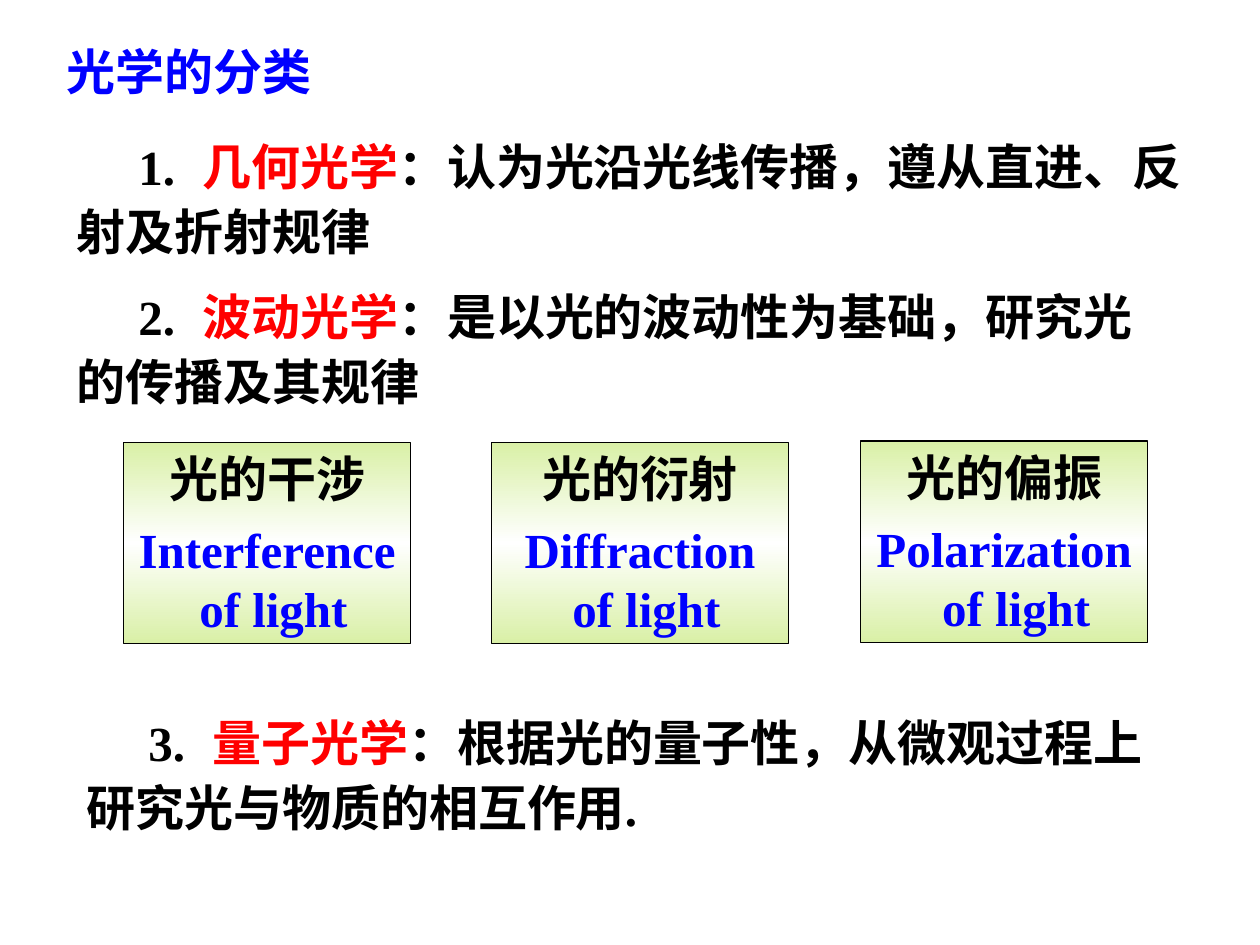
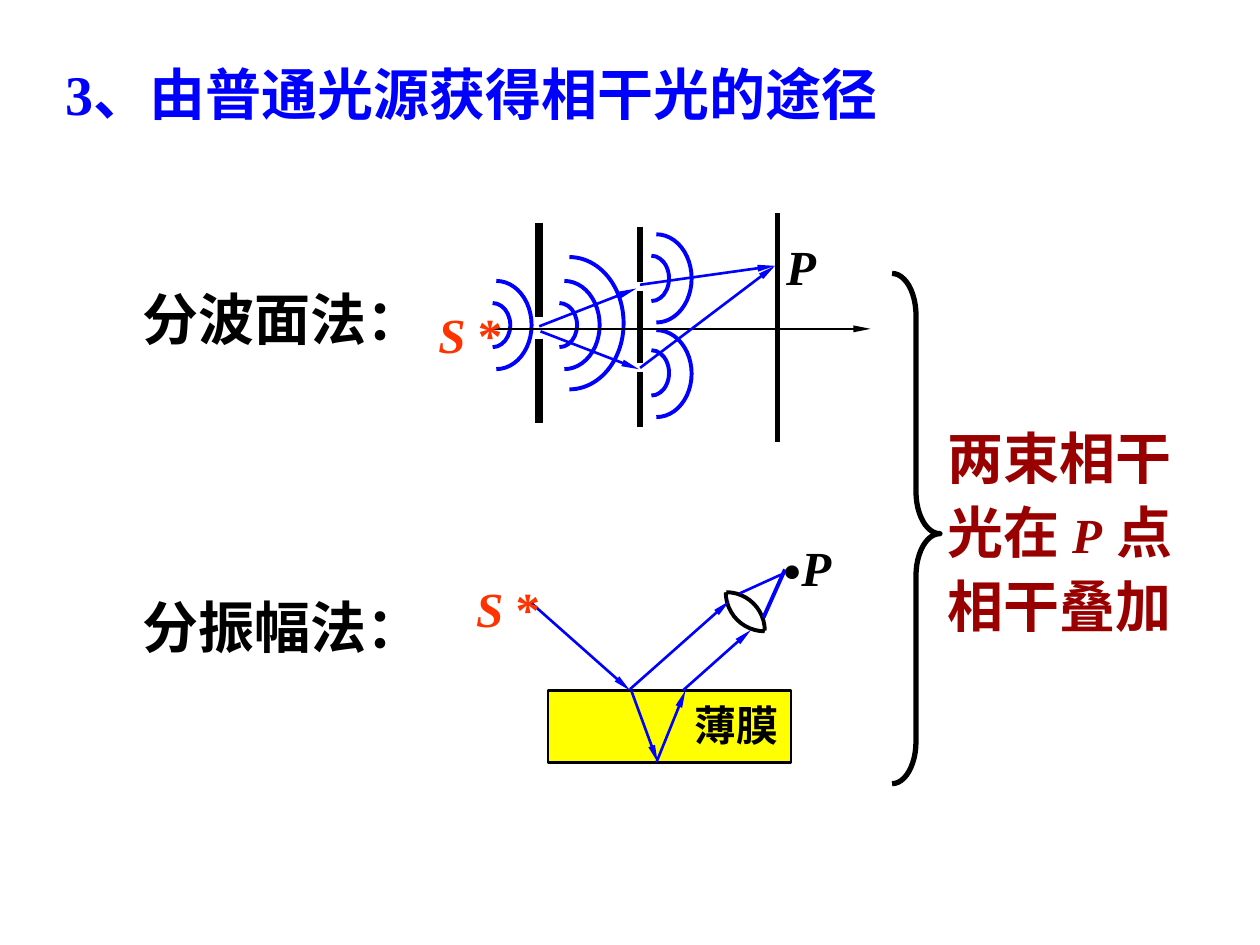
from copy import deepcopy

from lxml import etree
from pptx import Presentation
from pptx import util as u
from pptx.dml.color import RGBColor
from pptx.enum import lang, shapes, text
from pptx.oxml.ns import qn

BLACK = RGBColor(0, 0, 0)
WHITE = RGBColor(255, 255, 255)
BLUE = RGBColor(0, 0, 255)
RED = RGBColor(255, 0, 0)
ORANGE = RGBColor(0xFF, 0x33, 0)
DARK_RED = RGBColor(0x99, 0, 0)
YELLOW = RGBColor(255, 255, 0)
GREEN = RGBColor(0xD9, 0xF0, 0xA6)
FONT = "Times New Roman"
WIDE = (0.1, 0.05)
TIGHT = (0.01, 0.01)


def add_spans(para, spans):
    """Each span is (wording, size, colour, italic)."""
    for wording, size, colour, italic in spans:
        span = para.add_run()
        span.text = wording
        span.font.name = FONT
        span.font.size = u.Pt(size)
        span.font.bold = True
        span.font.italic = italic
        span.font.color.rgb = colour
        span.font.language_id = lang.MSO_LANGUAGE_ID.SIMPLIFIED_CHINESE


def add_text_box(page, at, spans, inset=WIDE):
    box = page.shapes.add_textbox(*map(u.Inches, at))
    frame = box.text_frame
    frame.word_wrap = True
    frame.margin_left = frame.margin_right = u.Inches(inset[0])
    frame.margin_top = frame.margin_bottom = u.Inches(inset[1])
    add_spans(frame.paragraphs[0], spans)
    return frame.paragraphs[0]


deck = Presentation()
deck.slide_width, deck.slide_height = u.Inches(10), u.Inches(7.5)
blank = deck.slide_layouts[6]

# Slide 1: branches of optics
page = deck.slides.add_slide(blank)
add_text_box(page, (0.43, 0.28, 3.54, 0.57), [("光学的分类", 28, BLUE, False)])

# Numbered branches: first-line indent, then a tab to the term
branches = [
    ((0.51, 0.99, 9.1, 1.13), 1.06, "1.", "几何光学",
     "：认为光沿光线传播，遵从直进、反射及折射规律"),
    ((0.51, 2.18, 8.9, 1.13), 1.06, "2.", "波动光学",
     "：是以光的波动性为基础，研究光的传播及其规律"),
    ((0.59, 5.56, 8.66, 1.13), 0.96, "3.", "量子光学",
     "：根据光的量子性，从微观过程上研究光与物质的相互作用."),
]
for at, tab_stop, number, term, meaning in branches:
    para = add_text_box(page, at, [(number + "\t", 28, BLACK, False),
                                   (term, 28, RED, False),
                                   (meaning, 28, BLACK, False)])
    para.line_spacing = 1.1
    props = para._p.get_or_add_pPr()
    props.set("marL", "0")
    props.set("indent", str(u.Inches(0.49)))
    tabs = etree.SubElement(props, qn("a:tabLst"))
    etree.SubElement(tabs, qn("a:tab"), pos=str(u.Inches(tab_stop)), algn="l")

# Wave phenomena
phenomena = [
    ((0.98, 3.51, 2.28, 1.6), "光的干涉", "Interference", 0.1),
    ((3.9, 3.51, 2.36, 1.6), "光的衍射", "Diffraction", 0.1),
    ((6.83, 3.5, 2.28, 1.6), "光的偏振", "Polarization", 0.19),
]
for at, chinese, english, indent in phenomena:
    box = page.shapes.add_shape(shapes.MSO_SHAPE.RECTANGLE, *map(u.Inches, at))
    box.shadow.inherit = False
    box.line.color.rgb = BLACK
    box.line.width = u.Pt(0.75)
    box.fill.gradient()
    box.fill.gradient_angle = 90
    stops = box._element.spPr.find(".//" + qn("a:gsLst"))
    stops.append(deepcopy(stops[0]))
    for stop, place, colour in zip(box.fill.gradient_stops, (0, 0.5, 1),
                                   (GREEN, WHITE, GREEN)):
        stop.position = place
        stop.color.rgb = colour
    frame = box.text_frame
    frame.word_wrap = True
    frame.vertical_anchor = text.MSO_ANCHOR.TOP
    for row, (wording, colour) in enumerate(
            [(chinese, BLACK), (english, BLUE), ("of light", BLUE)]):
        para = frame.add_paragraph() if row else frame.paragraphs[0]
        para.alignment = text.PP_ALIGN.CENTER
        add_spans(para, [(wording, 28, colour, False)])
    frame.paragraphs[1].space_before = u.Pt(7)
    last = frame.paragraphs[2]._p.get_or_add_pPr()
    last.set("marL", "0")
    last.set("indent", str(u.Inches(indent)))

# Slide 2: two ways to coherent light
page = deck.slides.add_slide(blank)
add_text_box(page, (0.42, 0.42, 7.42, 0.64),
             [("3、由普通光源获得相干光的途径", 32, BLUE, False)])

# Thin film
film = page.shapes.add_shape(shapes.MSO_SHAPE.RECTANGLE, u.Inches(4.35),
                             u.Inches(5.48), u.Inches(1.93), u.Inches(0.57))
film.shadow.inherit = False
film.fill.solid()
film.fill.fore_color.rgb = YELLOW
film.line.color.rgb = BLACK
film.line.width = u.Pt(1.5)

# Arcs: centre, radii, start and end angle, colour
arcs = []
waves = [(3.66, 2.58, 0.56, 0.35), (3.77, 2.58, 0.28, 0.175),
         (4.2, 2.58, 0.56, 0.35), (4.3, 2.58, 0.28, 0.175),
         (4.09, 2.565, 0.86, 0.525),
         (4.93, 2.965, 0.56, 0.345), (5.03, 2.96, 0.28, 0.18),
         (4.93, 2.21, 0.56, 0.35), (5.03, 2.21, 0.28, 0.18)]
for left, middle, width, radius in waves:
    arcs.append(((left, middle - radius, width, 2 * radius), 270, 90, BLUE))
arcs += [((5.76, 4.39, 0.62, 0.62), 90, 180, BLACK),
         ((5.46, 4.7, 0.61, 0.61), 270, 0, BLACK)]
for at, start, end, colour in arcs:
    arc = page.shapes.add_shape(shapes.MSO_SHAPE.ARC, *map(u.Inches, at))
    arc.shadow.inherit = False
    arc.adjustments[0] = start * 0.6
    arc.adjustments[1] = end * 0.6
    arc.fill.background()
    arc.line.color.rgb = colour
    arc.line.width = u.Pt(2.25)

# Screens, axis and rays: from, to, colour, width, arrowhead
lines = [
    (6.17, 1.69, 6.17, 3.51, BLACK, 3, False),
    (4.28, 1.77, 4.28, 2.52, BLACK, 4.5, False),
    (4.28, 2.69, 4.28, 3.36, BLACK, 4.5, False),
    (5.08, 1.8, 5.08, 2.24, BLACK, 3, False),
    (5.08, 2.31, 5.08, 2.88, BLACK, 3, False),
    (5.08, 2.95, 5.08, 3.39, BLACK, 3, False),
    (3.9, 2.61, 6.91, 2.61, BLACK, 1.5, True),
    (4.28, 2.59, 5.05, 2.29, BLUE, 1.5, True),
    (4.29, 2.63, 5.07, 2.93, BLUE, 1.5, True),
    (5.08, 2.26, 6.15, 2.11, BLUE, 1.5, True),
    (5.08, 2.92, 6.15, 2.11, BLUE, 1.5, True),
    (5.01, 5.48, 5.22, 6.05, BLUE, 1.5, True),
    (5.21, 6.05, 5.44, 5.48, BLUE, 1.5, True),
    (4.21, 4.78, 5, 5.48, BLUE, 1.5, True),
    (5, 5.47, 5.79, 4.77, BLUE, 1.5, True),
    (5.42, 5.48, 5.96, 5, BLUE, 1.5, True),
    (5.87, 4.71, 6.2, 4.56, BLUE, 1.5, False),
    (6.06, 4.9, 6.23, 4.52, BLUE, 2.25, False),
]
for *ends, colour, width, arrow in lines:
    line = page.shapes.add_connector(shapes.MSO_CONNECTOR.STRAIGHT,
                                     *map(u.Inches, ends))
    line.line.color.rgb = colour
    line.line.width = u.Pt(width)
    if arrow:
        etree.SubElement(line.line._get_or_add_ln(), qn("a:tailEnd"),
                         type="triangle", w="sm", len="lg")
    etree.SubElement(line._element.spPr, qn("a:effectLst"))

# Brace joining both methods
brace = page.shapes.add_shape(shapes.MSO_SHAPE.RIGHT_BRACE, u.Inches(7.08),
                              u.Inches(2.17), u.Inches(0.38), u.Inches(4.05))
brace.shadow.inherit = False
brace.adjustments[0] = 0.88
brace.adjustments[1] = 0.51
brace.fill.background()
brace.line.color.rgb = BLACK
brace.line.width = u.Pt(3)

# Labels
labels = [
    ((1.12, 2.25, 2.98, 0.58), [("分波面法：", 32, BLACK, False)]),
    ((1.12, 4.69, 2.98, 0.55), [("分振幅法：", 32, BLACK, False)]),
    ((6.23, 1.87, 0.7, 0.52), [("P", 28, BLACK, True)]),
    ((6.35, 4.26, 0.7, 0.53), [("P", 28, BLACK, True)]),
    ((6.17, 4.09, 0.67, 0.68), [("·", 48, BLACK, False)]),
    ((5.5, 5.54, 1.17, 0.43), [("薄膜", 24, BLACK, False)]),
    ((3.47, 2.41, 0.58, 0.57), [("S", 28, ORANGE, True),
                                (" *", 28, ORANGE, False)]),
    ((3.77, 4.58, 0.74, 0.5), [("S ", 28, ORANGE, True),
                               ("*", 28, ORANGE, False)]),
]
for at, spans in labels:
    add_text_box(page, at, spans, TIGHT)

# Conclusion
para = add_text_box(page, (7.42, 3.26, 2.2, 1.86),
                    [("两束相干光在 ", 32, DARK_RED, False),
                     ("P", 28, DARK_RED, True),
                     (" ", 32, DARK_RED, True),
                     ("点相干叠加", 32, DARK_RED, False)])
para.line_spacing = 1.1

deck.save("out.pptx")
